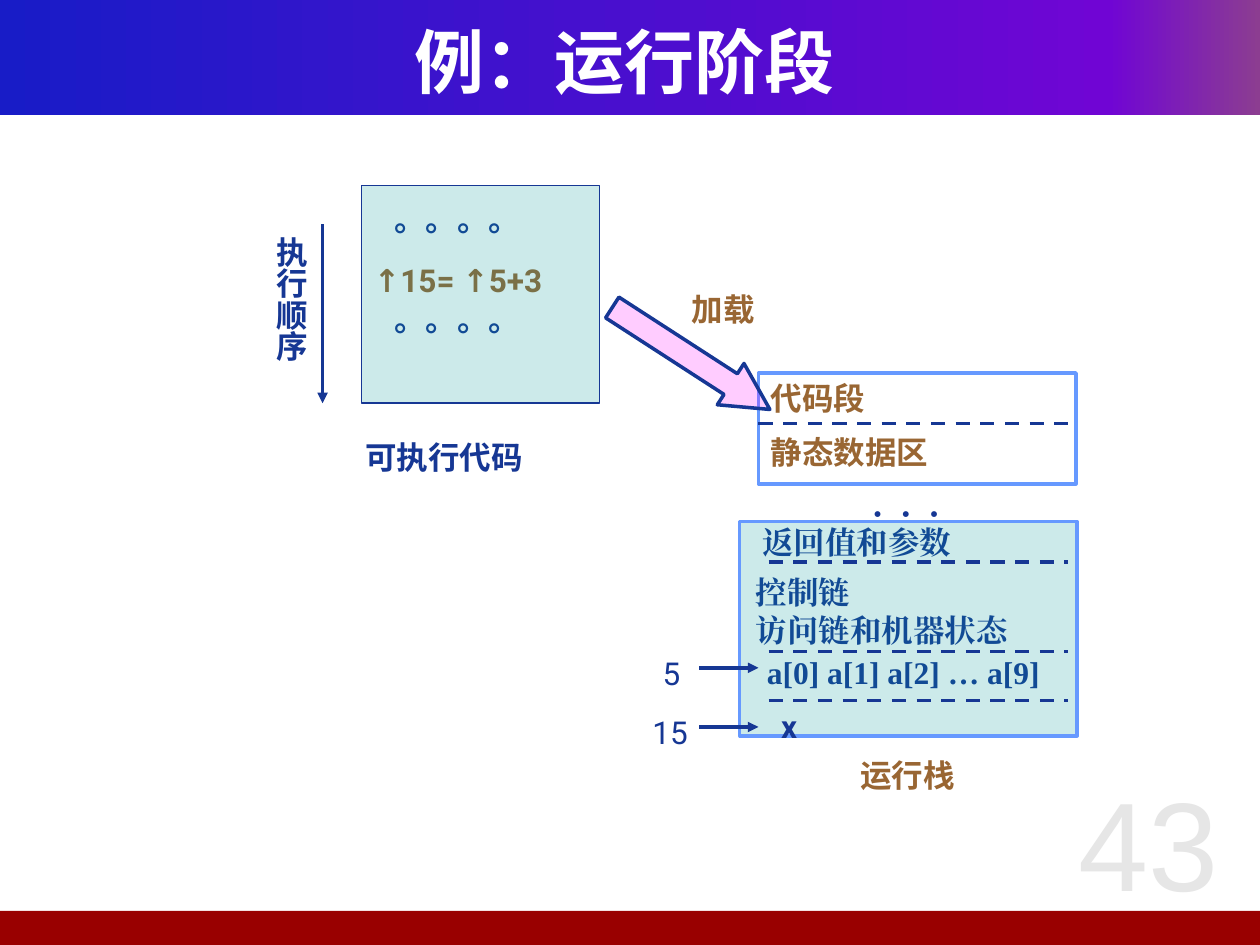
from lxml import etree
from pptx import Presentation
from pptx.dml.color import RGBColor
from pptx.enum.dml import MSO_LINE_DASH_STYLE as Dash
from pptx.enum.shapes import MSO_CONNECTOR as Connector, MSO_SHAPE as Shape
from pptx.enum.text import MSO_ANCHOR as Anchor, PP_ALIGN as Align
from pptx.oxml.ns import qn
from pptx.util import Inches, Pt

NAVY = RGBColor(0x16, 0x37, 0x94)
BROWN = RGBColor(0x99, 0x66, 0x33)
TEAL = RGBColor(0x00, 0x99, 0x99)
MAGENTA = RGBColor(0xFF, 0x00, 0xFF)
SKY = RGBColor(0x66, 0x99, 0xFF)
RED = RGBColor(0x99, 0x00, 0x00)
GREY = RGBColor(0xE6, 0xE6, 0xE6)
WHITE = RGBColor(0xFF, 0xFF, 0xFF)
BANNER_STOPS = [(0, "181CC7"), (88, "7005D4"), (100, "8C3D91")]
SANS, SERIF, CJK = "Roboto", "Times New Roman", "Noto Sans CJK SC"
MARGINS = (0.1, 0.05, 0.1, 0.05)
STACK_MARGINS = (0.06, 0.09, 0.06, 0.05)


def fill_text(frame, lines, color=NAVY, size=18, font=SANS, bold=True,
              align=Align.LEFT, margins=MARGINS, gap=0, anchor=Anchor.TOP):
    frame.word_wrap = True
    frame.vertical_anchor = anchor
    (frame.margin_left, frame.margin_top,
     frame.margin_right, frame.margin_bottom) = map(Inches, margins)
    for index, line in enumerate(lines):
        paragraph = frame.add_paragraph() if index else frame.paragraphs[0]
        paragraph.alignment = align
        if index:
            paragraph.space_before = Pt(gap)
        run = paragraph.add_run()
        run.text = line
        run.font.name, run.font.size, run.font.bold = font, Pt(size), bold
        run.font.color.rgb = color
        east_asian = etree.SubElement(run.font._element, qn("a:ea"))
        east_asian.set("typeface", font)


def add_text(slide, box, *lines, **style):
    text_box = slide.shapes.add_textbox(*map(Inches, box))
    fill_text(text_box.text_frame, lines, **style)
    return text_box


def add_box(slide, box, fill=None, line=None, width=2, kind=Shape.RECTANGLE, alpha=100):
    shape = slide.shapes.add_shape(kind, *map(Inches, box))
    shape.shadow.inherit = False
    if fill is None:
        shape.fill.background()
    else:
        shape.fill.solid()
        shape.fill.fore_color.rgb = fill
        if alpha < 100:
            color = shape.fill._xPr.find(".//" + qn("a:srgbClr"))
            etree.SubElement(color, qn("a:alpha")).set("val", str(alpha * 1000))
    if line is None:
        shape.line.fill.background()
    else:
        shape.line.color.rgb = line
        shape.line.width = Pt(width)
    return shape


def add_line(slide, x1, y1, x2, y2, dashed=False):
    """Draws a dashed divider, or an arrow when not dashed."""
    connector = slide.shapes.add_connector(
        Connector.STRAIGHT, *map(Inches, (x1, y1, x2, y2)))
    connector.line.color.rgb = NAVY
    connector.line.width = Pt(2)
    if dashed:
        connector.line.dash_style = Dash.DASH
    else:
        line = connector.line._get_or_add_ln()
        etree.SubElement(line, qn("a:tailEnd")).set("type", "triangle")
    etree.SubElement(connector._element.spPr, qn("a:effectLst"))


def add_frame(slide, width, height):
    # Title banner with its gradient, and the footer bar
    banner = add_box(slide, (0, 0, width, 0.91), WHITE)
    banner.fill.gradient()
    banner.fill.gradient_angle = 0
    stops = banner._element.spPr.find(".//" + qn("a:gsLst"))
    for stop in list(stops):
        stops.remove(stop)
    for position, color in BANNER_STOPS:
        stop = etree.SubElement(stops, qn("a:gs"), pos=str(position * 1000))
        etree.SubElement(stop, qn("a:srgbClr"), val=color)
    add_box(slide, (0, height - 0.27, width, 0.27), RED)
    add_text(slide, (0.33, 0.17, 9.25, 0.62), "例：运行阶段", color=WHITE, size=40,
             font=CJK, align=Align.CENTER, anchor=Anchor.MIDDLE)
    # Page number
    add_text(slide, (width - 1.77, 6.03, 1.77, 1.42), "43", color=GREY, size=72,
             font="Arial", bold=False, align=Align.CENTER)


def add_stack(slide, left, top, width, height):
    style = dict(font=SERIF, margins=STACK_MARGINS)
    centered = dict(style, align=Align.CENTER)
    add_text(slide, (left + 0.31, top - 0.31, 2.02, 0.37), "⋅  ⋅  ⋅", **centered)
    add_text(slide, (left - 0.08, top - 0.08, 2.02, 0.44), "返回值和参数", **centered)
    add_text(slide, (left + 0.07, top + 0.95, 2.46, 0.44),
             "a[0] a[1] a[2] … a[9]", **centered)
    add_text(slide, (left + 0.07, top + 0.32, 2.44, 0.72),
             "控制链", "访问链和机器状态", **style)
    add_box(slide, (left, top, width, height), TEAL, SKY, alpha=20)
    for offset in (0.32, 1.03, 1.42):
        add_line(slide, left + 0.23, top + offset, left + 2.61, top + offset, dashed=True)
    add_text(slide, (left + 0.23, top + 1.42, 2.05, 0.4), "x")
    # Offsets pointing into the stack
    for label, label_left, offset in (("5", 0.71, 1.16), ("15", 0.79, 1.63)):
        y = top + offset
        add_line(slide, left - 0.32, y, left + 0.15, y)
        add_text(slide, (left - label_left, y - 0.16, 0.55, 0.4), label, bold=False)
    add_text(slide, (left + 0.86, top + 1.81, 0.95, 0.4), "运行栈", color=BROWN)


def add_memory(slide, left, top, width, height):
    segments = add_box(slide, (left, top, width, height), line=SKY)
    fill_text(segments.text_frame, ["代码段", "静态数据区"], color=BROWN, gap=9)
    add_line(slide, left, top + 0.4, left + width, top + 0.4, dashed=True)


def add_code(slide, left, top, width, height):
    add_text(slide, (left, top + 0.55, 2.44, 0.4), "↑15= ↑5+3", color=BROWN)
    for offset in (0.07, 0.86):
        add_text(slide, (left + 0.16, top + offset, 1.65, 0.4), "。。。。")
    add_box(slide, (left, top, width, height), TEAL, NAVY, 0.75, alpha=20)
    add_text(slide, (left - 0.07, top + 1.96, 2.28, 0.4), "可执行代码")
    # Execution order
    add_line(slide, left - 0.31, top + 0.31, left - 0.31, top + height)
    order = add_text(slide, (left - 0.86, top + 0.31, 0.5, 1.97), "执行顺序")
    order.text_frame._txBody.bodyPr.set("vert", "eaVert")


def add_loading(slide, left, top, width, height):
    arrow = add_box(slide, (left, top, width, height), MAGENTA, NAVY,
                    kind=Shape.RIGHT_ARROW, alpha=20)
    arrow.adjustments[0], arrow.adjustments[1] = 0.5, 0.95
    arrow.rotation = 32.9
    add_text(slide, (left + 0.65, top - 0.4, 0.79, 0.4), "加载", color=BROWN)


def main():
    presentation = Presentation()
    presentation.slide_width, presentation.slide_height = Inches(10), Inches(7.5)
    slide = presentation.slides.add_slide(presentation.slide_layouts[6])
    add_frame(slide, 10, 7.5)
    add_stack(slide, 5.87, 4.14, 2.68, 1.7)
    add_memory(slide, 6.02, 2.96, 2.52, 0.88)
    add_code(slide, 2.87, 1.47, 1.89, 1.73)
    add_loading(slide, 4.74, 2.65, 1.49, 0.39)
    presentation.save("out.pptx")


if __name__ == "__main__":
    main()
